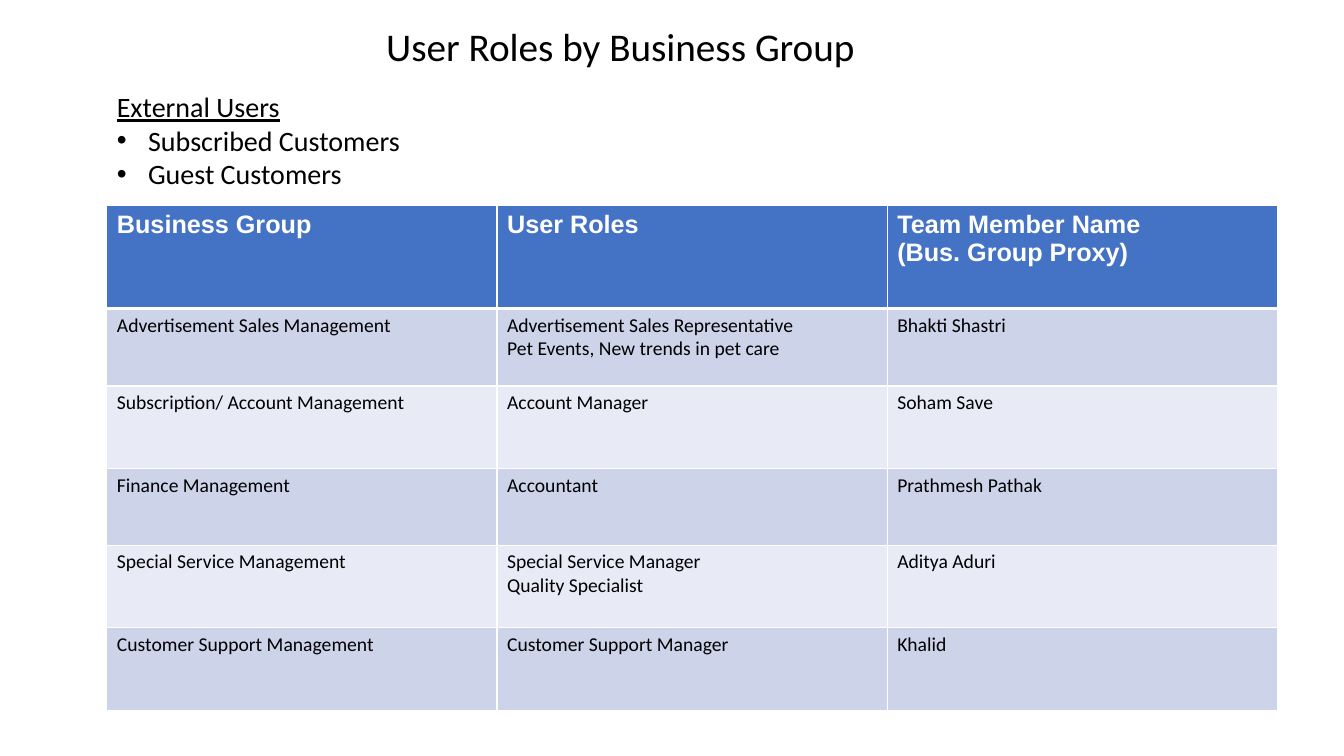
import pptx
import pptx.dml.color
import pptx.enum.text
import pptx.oxml
import pptx.oxml.ns
import pptx.util
from lxml import etree

RGBColor = pptx.dml.color.RGBColor
Inches = pptx.util.Inches
Pt = pptx.util.Pt

BLACK = RGBColor(0x00, 0x00, 0x00)
WHITE = RGBColor(0xFF, 0xFF, 0xFF)
HEADER_BLUE = RGBColor(0x44, 0x72, 0xC4)
BAND_FILLS = [RGBColor(0xCD, 0xD4, 0xEA), RGBColor(0xE8, 0xEB, 0xF5)]

SLIDE_WIDTH, SLIDE_HEIGHT = 13.33, 7.5
LEFT_MARGIN = 1.06
ROW_HEIGHTS = [1.02, 0.77, 0.82, 0.76, 0.82, 0.82]

EXTERNAL_USERS = ["Subscribed Customers", "Guest Customers"]
ROLE_ROWS = [
    ["Business Group", "User Roles", "Team Member Name\n(Bus. Group Proxy)"],
    ["Advertisement Sales Management",
     "Advertisement Sales Representative\nPet Events, New trends in pet care",
     "Bhakti Shastri"],
    ["Subscription/ Account Management", "Account Manager", "Soham Save"],
    ["Finance Management", "Accountant", "Prathmesh Pathak"],
    ["Special Service Management",
     "Special Service Manager\nQuality Specialist", "Aditya Aduri"],
    ["Customer Support Management", "Customer Support Manager", "Khalid"],
]


def add_run(paragraph, text, size, font="Calibri", color=BLACK, bold=False):
    run = paragraph.add_run()
    run.text = text
    run.font.name = font
    run.font.size = Pt(size)
    run.font.color.rgb = color
    run.font.bold = bold
    return run


def set_bullet(paragraph, indent):
    properties = paragraph._p.get_or_add_pPr()
    properties.set("marL", str(Inches(indent)))
    properties.set("indent", str(-Inches(indent)))
    font = etree.SubElement(properties, pptx.oxml.ns.qn("a:buFont"))
    font.set("typeface", "Arial")
    bullet = etree.SubElement(properties, pptx.oxml.ns.qn("a:buChar"))
    bullet.set("char", "•")


def set_borders(cell, bottom_width):
    properties = cell._tc.get_or_add_tcPr()
    for side, width in zip("LRTB", [1, 1, 1, bottom_width]):
        line = etree.SubElement(properties, pptx.oxml.ns.qn(f"a:ln{side}"))
        line.set("w", str(Pt(width)))
        fill = etree.SubElement(line, pptx.oxml.ns.qn("a:solidFill"))
        color = etree.SubElement(fill, pptx.oxml.ns.qn("a:srgbClr"))
        color.set("val", str(WHITE))


def place_title(slide, left, top, width, height):
    title = slide.shapes.title
    title.left, title.top = Inches(left), Inches(top)
    title.width, title.height = Inches(width), Inches(height)
    frame = title.text_frame
    frame.auto_size = pptx.enum.text.MSO_AUTO_SIZE.NONE
    frame.vertical_anchor = pptx.enum.text.MSO_ANCHOR.TOP
    paragraph = frame.paragraphs[0]
    paragraph.alignment = pptx.enum.text.PP_ALIGN.LEFT
    add_run(paragraph, "User Roles by Business Group", 28)


def add_external_users(slide, left, top, width, height):
    box = slide.shapes.add_textbox(
        Inches(left), Inches(top), Inches(width), Inches(height))
    frame = box.text_frame
    frame.word_wrap = True
    heading = add_run(frame.paragraphs[0], "External Users", 20)
    heading.font.underline = True
    for user in EXTERNAL_USERS:
        paragraph = frame.add_paragraph()
        set_bullet(paragraph, 0.31)
        add_run(paragraph, user, 20)


def fill_cell(cell, text, is_header, fill_color):
    set_borders(cell, 3 if is_header else 1)
    cell.fill.solid()
    cell.fill.fore_color.rgb = fill_color
    for index, line in enumerate(text.split("\n")):
        frame = cell.text_frame
        paragraph = frame.add_paragraph() if index else frame.paragraphs[0]
        if is_header:
            add_run(paragraph, line, 18, "Arial", WHITE, True)
        else:
            add_run(paragraph, line, 14)


def add_roles_table(slide, left, top, width):
    column_count = len(ROLE_ROWS[0])
    table = slide.shapes.add_table(
        len(ROLE_ROWS), column_count, Inches(left), Inches(top),
        Inches(width), Inches(sum(ROW_HEIGHTS))).table
    for column in table.columns:
        column.width = Inches(width / column_count)
    for row_index, (texts, height) in enumerate(zip(ROLE_ROWS, ROW_HEIGHTS)):
        table.rows[row_index].height = Inches(height)
        is_header = row_index == 0
        fill_color = HEADER_BLUE if is_header else BAND_FILLS[(row_index - 1) % 2]
        for column_index, text in enumerate(texts):
            fill_cell(table.cell(row_index, column_index), text,
                      is_header, fill_color)


def main():
    presentation = pptx.Presentation()
    presentation.slide_width = Inches(SLIDE_WIDTH)
    presentation.slide_height = Inches(SLIDE_HEIGHT)
    slide = presentation.slides.add_slide(presentation.slide_layouts[5])
    add_roles_table(slide, LEFT_MARGIN, 2.04, 11.61)
    place_title(slide, 3.73, 0.17, 5.04, 0.57)
    add_external_users(slide, LEFT_MARGIN, 0.84, 4.02, 1.11)
    presentation.save("out.pptx")


if __name__ == "__main__":
    main()
